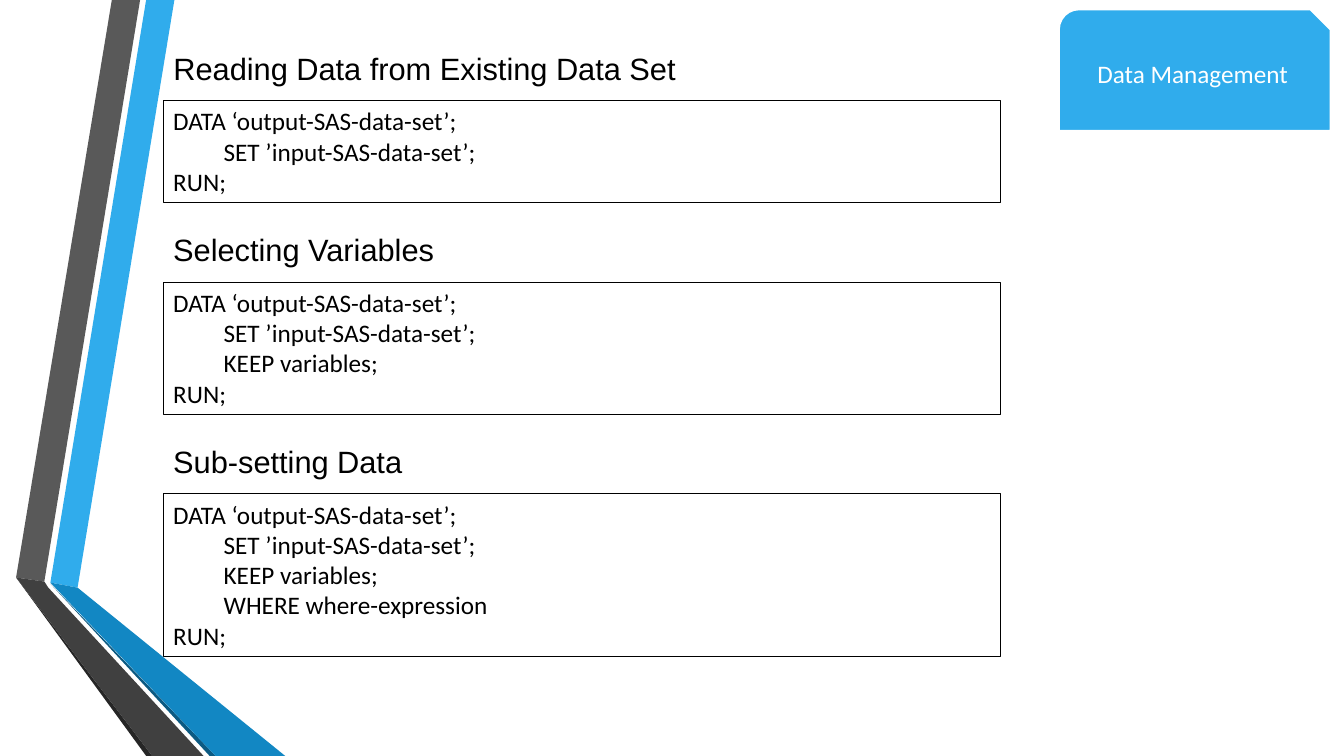
from lxml import etree
from pptx import Presentation
from pptx.dml.color import RGBColor
from pptx.enum.shapes import MSO_SHAPE
from pptx.enum.text import MSO_ANCHOR, MSO_AUTO_SIZE, PP_ALIGN
from pptx.oxml.ns import qn
from pptx.util import Pt

PX = 9144  # EMU per px, 100 px to the inch
RECT, SNIP = MSO_SHAPE.RECTANGLE, MSO_SHAPE.SNIP_ROUND_RECTANGLE
TOP, MIDDLE = MSO_ANCHOR.TOP, MSO_ANCHOR.MIDDLE
LEFT, CENTER = PP_ALIGN.LEFT, PP_ALIGN.CENTER
NO_FIT = MSO_AUTO_SIZE.NONE

BLACK, WHITE, BLUE = "000000", "FFFFFF", "30ACEC"

# Ribbon facets, from back to front
RIBBONS = [
    (BLUE, [(50, 578), (77, 583), (173, 0), (145, 0)]),
    ("595959", [(139, 0), (111, 0), (16, 573), (44, 577)]),
    ("262626", [(16, 573), (145, 750), (151, 750)]),
    ("0C5A82", [(50, 579), (208, 750), (214, 750)]),
    ("1287C3", [(50, 578), (214, 750), (283, 750), (77, 583)]),
    ("404040", [(202, 750), (48, 583), (44, 577), (16, 573), (151, 750)]),
]

FIRST = ["DATA ‘output-SAS-data-set’;", "\tSET ’input-SAS-data-set’;"]
KEEP = "\tKEEP variables;"
PARTS = [
    ("Reading Data from Existing Data Set", FIRST + ["RUN;"]),
    ("Selecting Variables", FIRST + [KEEP, "RUN;"]),
    ("Sub-setting Data", FIRST + [KEEP, "\tWHERE where-expression", "RUN;"]),
]


def color(code):
    return RGBColor.from_string(code)


class Deck:
    head_font, head_size = "Arial", 22
    body_font, body_size = "Calibri", 18

    def __init__(self, wide, high):
        self.prs = Presentation()
        self.prs.slide_width, self.prs.slide_height = wide * PX, high * PX
        self.slide = self.prs.slides.add_slide(self.prs.slide_layouts[5])
        self.shapes = self.slide.shapes

    def label(self, shape, text, font, size, ink, anchor, align=LEFT):
        frame = shape.text_frame
        frame.text = text
        frame.word_wrap = True
        frame.auto_size = NO_FIT
        frame.vertical_anchor = anchor
        for para in frame.paragraphs:
            para.alignment = align
            if para.text.startswith("\t"):
                self.tab(para, 50)
            for run in para.runs:
                run.font.name, run.font.size = font, Pt(size)
                run.font.color.rgb = color(ink)

    def tab(self, para, pos):
        props = para._p.get_or_add_pPr()
        stops = etree.SubElement(props, qn("a:tabLst"))
        etree.SubElement(stops, qn("a:tab"), pos=str(pos * PX), algn="l")

    def paint(self, shape, fill, line=None, width=0.75):
        shape.shadow.inherit = False
        shape.fill.solid()
        shape.fill.fore_color.rgb = color(fill)
        if line:
            shape.line.color.rgb = color(line)
            shape.line.width = Pt(width)
        else:
            shape.line.fill.background()

    def ribbon(self, fill, points):
        outline = self.shapes.build_freeform(*points[0], scale=PX)
        outline.add_line_segments(points[1:], close=True)
        self.paint(outline.convert_to_shape(), fill)

    def title(self, text, *area):
        head = self.shapes.title
        head.left, head.top, head.width, head.height = (n * PX for n in area)
        head.element.getparent().append(head.element)  # in front of the ribbons
        self.label(head, text, self.head_font, self.head_size, BLACK, MIDDLE)

    def heading(self, text, *area):
        box = self.shapes.add_textbox(*(n * PX for n in area))
        self.label(box, text, self.head_font, self.head_size, BLACK, MIDDLE)

    def code(self, lines, *area):
        box = self.shapes.add_shape(RECT, *(n * PX for n in area))
        self.paint(box, WHITE, BLACK)
        self.label(box, "\n".join(lines), self.body_font, self.body_size, BLACK, TOP)

    def badge(self, text, *area):
        box = self.shapes.add_shape(SNIP, *(n * PX for n in area))
        self.paint(box, BLUE, WHITE, 1.75)
        self.label(box, text, self.body_font, self.body_size, WHITE, MIDDLE, CENTER)


def main():
    deck = Deck(1333, 750)

    # Ribbon at the left
    for fill, points in RIBBONS:
        deck.ribbon(fill, points)

    # Headings, each with its code box
    left, top, head, gap = 162, 35, 65, 14
    for num, (text, lines) in enumerate(PARTS):
        put = deck.heading if num else deck.title
        put(text, left, top, 1096, head)
        high = 30 * len(lines) + 11
        deck.code(lines, left, top + head, 830, high)
        top += head + high + gap

    # Topic badge
    deck.badge("Data Management", 1050, 9, 270, 121)

    deck.prs.save("out.pptx")


if __name__ == "__main__":
    main()
